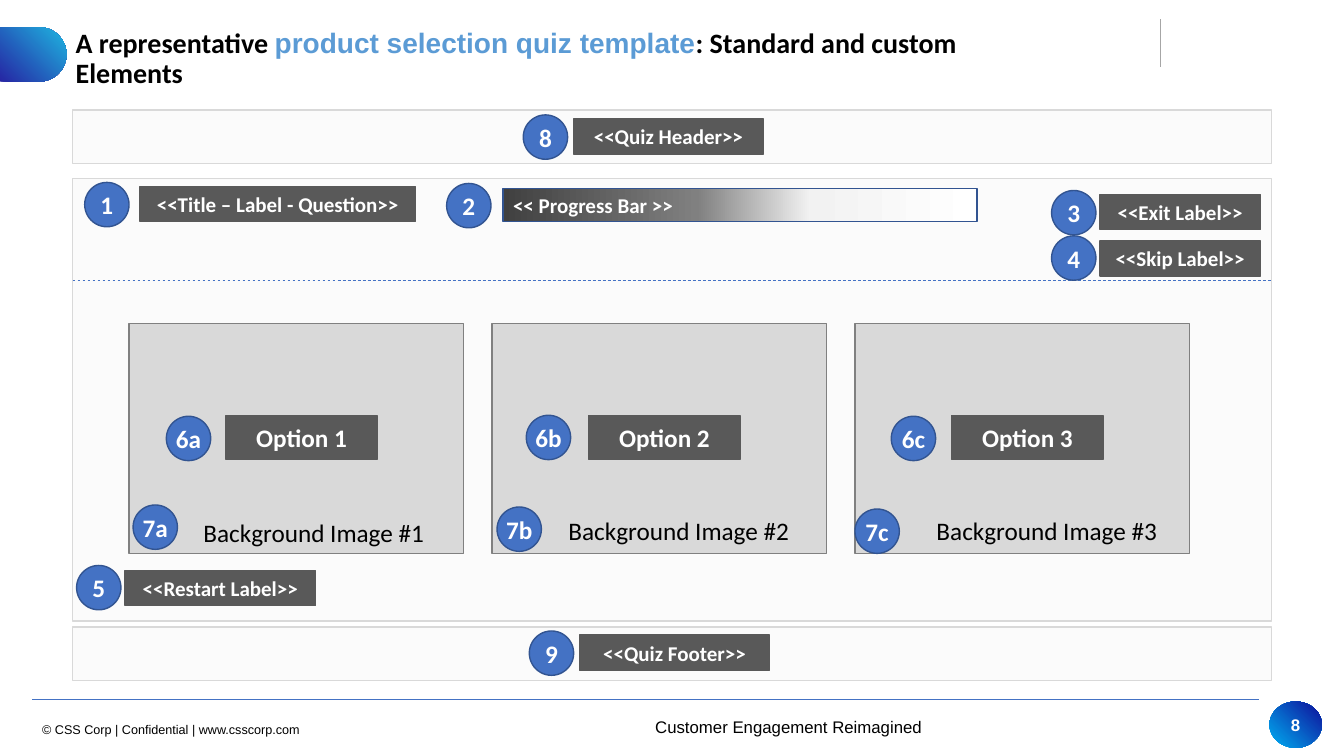
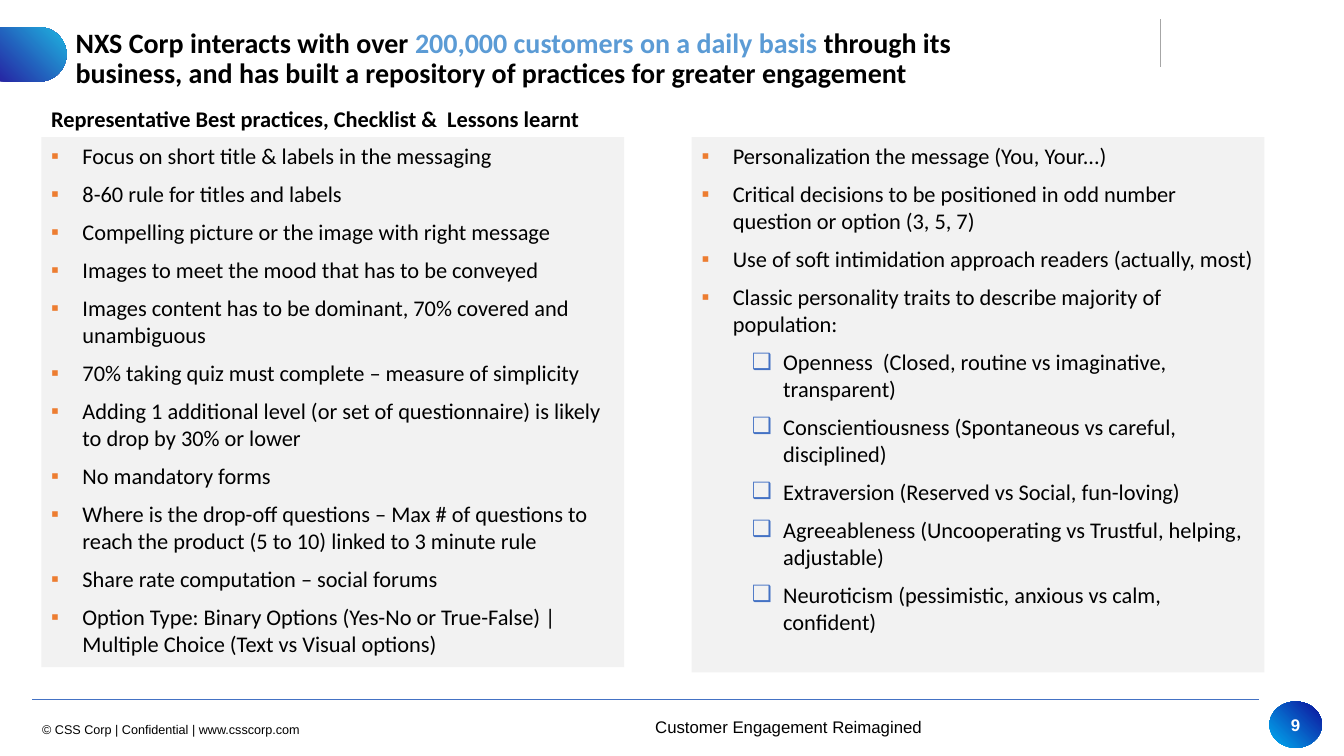
import math

import lxml.etree
import pptx
import pptx.dml.color
import pptx.enum.dml
import pptx.enum.shapes
import pptx.enum.text
import pptx.oxml
import pptx.oxml.ns
import pptx.util

Inches = pptx.util.Inches
Pt = pptx.util.Pt
RGBColor = pptx.dml.color.RGBColor
SHAPE = pptx.enum.shapes.MSO_SHAPE
STRAIGHT = pptx.enum.shapes.MSO_CONNECTOR.STRAIGHT
ALIGN = pptx.enum.text.PP_ALIGN
ANCHOR = pptx.enum.text.MSO_ANCHOR
qn = pptx.oxml.ns.qn

BLACK = RGBColor(0x00, 0x00, 0x00)
WHITE = RGBColor(0xFF, 0xFF, 0xFF)
PALE = RGBColor(0xF2, 0xF2, 0xF2)
SILVER = RGBColor(0xD9, 0xD9, 0xD9)
RULE_GREY = RGBColor(0xA6, 0xA6, 0xA6)
GREY = RGBColor(0x80, 0x80, 0x80)
LABEL_GREY = RGBColor(0x59, 0x59, 0x59)
CHARCOAL = RGBColor(0x40, 0x40, 0x40)
BLUE = RGBColor(0x44, 0x72, 0xC4)
BLUE_EDGE = RGBColor(0x32, 0x54, 0x91)
HIGHLIGHT = RGBColor(0x5B, 0x9B, 0xD5)
ORANGE = RGBColor(0xED, 0x7D, 0x31)
NAVY = RGBColor(0x0F, 0x0E, 0x9A)
CYAN = RGBColor(0x06, 0xAF, 0xDE)
SKY = RGBColor(0x00, 0xAF, 0xF2)

TITLE_FONT = {"name": "Calibri", "size": Pt(20), "bold": True}
BADGE_FONT = {"name": "Calibri", "size": Pt(18), "bold": True}
LABEL_FONT = {"name": "Calibri", "size": Pt(15), "bold": True}
CAPTION_FONT = {"name": "Calibri", "size": Pt(18)}
HEADING_FONT = {"name": "Calibri", "size": Pt(16), "bold": True}
BODY_FONT = {"name": "Calibri", "size": Pt(16)}
COPYRIGHT_FONT = {"name": "Arial", "size": Pt(9)}
TAGLINE_FONT = {"name": "Arial", "size": Pt(12)}
NUMBER_FONT = {"name": "Arial", "size": Pt(12), "bold": True}


def paint(shape, fill, line=None, opacity=100, angle=0):
    """Fill with a colour, or with a list of (percent, colour) gradient stops."""
    shape.shadow.inherit = False
    if isinstance(fill, list):
        shape.fill.gradient()
        shape.fill.gradient_angle = angle
        stops = shape._element.spPr.find(".//" + qn("a:gsLst"))
        for stop in list(stops):
            stops.remove(stop)
        for percent, color in fill:
            stop = lxml.etree.SubElement(stops, qn("a:gs"), pos=str(percent * 1000))
            lxml.etree.SubElement(stop, qn("a:srgbClr"), val=str(color))
    else:
        shape.fill.solid()
        shape.fill.fore_color.rgb = fill
    if opacity < 100:
        for color_element in shape._element.spPr.iter(qn("a:srgbClr")):
            lxml.etree.SubElement(color_element, qn("a:alpha"), val=str(opacity * 1000))
    if line is None:
        shape.line.fill.background()
    else:
        shape.line.color.rgb = line
        shape.line.width = Pt(1)


def write(shape, paragraphs, font_format, color, align=ALIGN.LEFT,
          anchor=ANCHOR.TOP, margin=None, wrap=True):
    """Write paragraphs, each a list of (text, font changes, colour) runs or a string."""
    frame = shape.text_frame
    frame.word_wrap = wrap
    frame.vertical_anchor = anchor
    if margin is not None:
        for side in ("left", "top", "right", "bottom"):
            setattr(frame, "margin_" + side, margin)
    for index, runs in enumerate(paragraphs):
        paragraph = frame.paragraphs[0] if index == 0 else frame.add_paragraph()
        paragraph.alignment = align
        if isinstance(runs, str):
            runs = [(runs, {}, color)]
        for text, changes, run_color in runs:
            run = paragraph.add_run()
            run.text = text
            run.font.color.rgb = run_color
            for key, value in {**font_format, **changes}.items():
                setattr(run.font, key, value)


presentation = pptx.Presentation()
presentation.slide_width = Inches(13.33)
presentation.slide_height = Inches(7.5)

# Shared frame: tab, rules, title and footer
titles = [
    (8, 8.75, [("A representative ", {}, BLACK),
               ("product selection quiz template", {"name": "Arial"}, HIGHLIGHT),
               (": Standard and custom Elements", {}, BLACK)]),
    (9, 9.4, [("NXS Corp interacts with over ", {}, BLACK),
              ("200,000 customers on a daily basis ", {}, HIGHLIGHT),
              ("through its business, and has built a repository of practices "
               "for greater engagement", {}, BLACK)]),
]
footer_texts = [
    (0.32, 7.11, 3, 0.25, "© CSS Corp | Confidential | www.csscorp.com", COPYRIGHT_FONT),
    (6.4, 7.06, 3, 0.3, "Customer Engagement Reimagined", TAGLINE_FONT),
]
frame_rules = [(11.51, 0.19, 11.51, 0.66, RULE_GREY, 0.25),
               (0.32, 6.94, 12.49, 6.94, BLUE, 0.5)]
TAB_RADIUS, TAB_CENTER_X, TAB_CENTER_Y = 0.27, 0.39, 0.54
tab_arc = [(Inches(TAB_CENTER_X + TAB_RADIUS * math.cos(math.radians(degrees))),
            Inches(TAB_CENTER_Y + TAB_RADIUS * math.sin(math.radians(degrees))))
           for degrees in range(-90, 91, 5)]

slides = []
for number, title_width, title_runs in titles:
    slide = presentation.slides.add_slide(presentation.slide_layouts[6])
    slides.append(slide)

    for x1, y1, x2, y2, color, width in frame_rules:
        rule = slide.shapes.add_connector(STRAIGHT, Inches(x1), Inches(y1), Inches(x2), Inches(y2))
        rule.line.color.rgb = color
        rule.line.width = Pt(width)
        lxml.etree.SubElement(rule._element.spPr, qn("a:effectLst"))

    builder = slide.shapes.build_freeform(0, Inches(TAB_CENTER_Y - TAB_RADIUS))
    builder.add_line_segments(tab_arc + [(0, Inches(TAB_CENTER_Y + TAB_RADIUS))], close=True)
    paint(builder.convert_to_shape(), [(0, NAVY), (100, CYAN)], opacity=90, angle=45)

    page_badge = slide.shapes.add_shape(
        SHAPE.OVAL, Inches(12.59), Inches(6.96), Inches(0.52), Inches(0.46))
    paint(page_badge, [(0, SKY), (100, NAVY)], angle=45)
    write(page_badge, [str(number)], NUMBER_FONT, WHITE, ALIGN.CENTER, ANCHOR.MIDDLE, 0, False)

    for left, top, width, height, text, font_format in footer_texts:
        box = slide.shapes.add_textbox(Inches(left), Inches(top), Inches(width), Inches(height))
        write(box, [text], font_format, BLACK, anchor=ANCHOR.MIDDLE)

    title = slide.shapes.add_textbox(Inches(0.75), Inches(0.29), Inches(title_width), Inches(0.61))
    write(title, [title_runs], TITLE_FONT, BLACK, margin=0)
    title.text_frame.paragraphs[0].line_spacing = 0.9

quiz_slide, practice_slide = slides

# Quiz template: header, body and footer panels
PANEL_LEFT, PANEL_WIDTH = 0.72, 11.89
for top, height in [(1.09, 0.53), (1.77, 4.39), (6.22, 0.53)]:
    panel = quiz_slide.shapes.add_shape(
        SHAPE.RECTANGLE, Inches(PANEL_LEFT), Inches(top), Inches(PANEL_WIDTH), Inches(height))
    paint(panel, PALE, SILVER, opacity=30)

divider = quiz_slide.shapes.add_connector(
    STRAIGHT, Inches(PANEL_LEFT), Inches(2.78), Inches(PANEL_LEFT + PANEL_WIDTH), Inches(2.78))
divider.line.color.rgb = BLUE
divider.line.width = Pt(0.5)
divider.line.dash_style = pptx.enum.dml.MSO_LINE.DASH
lxml.etree.SubElement(divider._element.spPr, qn("a:effectLst"))

progress_bar = quiz_slide.shapes.add_shape(
    SHAPE.RECTANGLE, Inches(4.99), Inches(1.87), Inches(4.7), Inches(0.33))
paint(progress_bar, [(0, CHARCOAL), (41, GREY), (65, PALE), (100, WHITE)], BLUE_EDGE)
write(progress_bar, ["<< Progress Bar >>"], LABEL_FONT, WHITE, anchor=ANCHOR.MIDDLE)

labels = [
    (1.39, 1.85, 2.73, 0.35, "<<Title – Label - Question>>", LABEL_FONT),
    (10.91, 1.93, 1.59, 0.35, "<<Exit Label>>", LABEL_FONT),
    (10.91, 2.39, 1.59, 0.35, "<<Skip Label>>", LABEL_FONT),
    (5.69, 1.18, 1.88, 0.35, "<<Quiz Header>>", LABEL_FONT),
    (5.75, 6.3, 1.88, 0.35, "<<Quiz Footer>>", LABEL_FONT),
    (1.24, 5.66, 1.89, 0.35, "<<Restart Label>>", LABEL_FONT),
]

# Option cards
CARD_LEFT, CARD_STEP = 1.28, 3.6
for index, (caption_left, caption_top) in enumerate([(1.92, 5.08), (5.54, 5.06), (9.19, 5.06)]):
    card_left = CARD_LEFT + index * CARD_STEP
    card = quiz_slide.shapes.add_shape(
        SHAPE.RECTANGLE, Inches(card_left), Inches(3.21), Inches(3.32), Inches(2.28))
    paint(card, SILVER, GREY)
    caption = quiz_slide.shapes.add_textbox(
        Inches(caption_left), Inches(caption_top), Inches(2.5), Inches(0.4))
    write(caption, [f"Background Image #{index + 1}"], CAPTION_FONT, BLACK)
    labels.append((card_left + 0.96, 4.12, 1.5, 0.44, f"Option {index + 1}", BADGE_FONT))

for left, top, width, height, text, font_format in labels:
    label = quiz_slide.shapes.add_shape(
        SHAPE.RECTANGLE, Inches(left), Inches(top), Inches(width), Inches(height))
    paint(label, LABEL_GREY, LABEL_GREY)
    write(label, [text], font_format, WHITE, ALIGN.CENTER, ANCHOR.MIDDLE, wrap=False)

# Numbered badges
badges = [
    ("1", 0.84, 1.81), ("2", 4.43, 1.82), ("3", 10.43, 1.89), ("4", 10.43, 2.34),
    ("5", 0.76, 5.61), ("6a", 1.65, 4.13), ("6b", 5.22, 4.12), ("6c", 8.84, 4.13),
    ("7a", 1.32, 5.01), ("7b", 4.93, 5.03), ("7c", 8.48, 5.05),
    ("8", 5.19, 1.14), ("9", 5.25, 6.26),
]
for text, left, top in badges:
    badge = quiz_slide.shapes.add_shape(
        SHAPE.OVAL, Inches(left), Inches(top), Inches(0.44), Inches(0.44))
    paint(badge, BLUE, BLUE_EDGE)
    write(badge, [text], BADGE_FONT, WHITE, ALIGN.CENTER, ANCHOR.MIDDLE, 0, False)

# Best practices: heading and two bulleted columns of (level, text)
heading = practice_slide.shapes.add_textbox(Inches(0.41), Inches(0.99), Inches(5.6), Inches(0.37))
write(heading, ["Representative Best practices, Checklist &  Lessons learnt"], HEADING_FONT, BLACK)

columns = [
    (0.41, 5.78, 5.26, [
        (0, "Focus on short title & labels in the messaging"),
        (0, "8-60 rule for titles and labels"),
        (0, "Compelling picture or the image with right message"),
        (0, "Images to meet the mood that has to be conveyed"),
        (0, "Images content has to be dominant, 70% covered and unambiguous"),
        (0, "70% taking quiz must complete – measure of simplicity"),
        (0, "Adding 1 additional level (or set of questionnaire) is likely to drop by 30% or lower"),
        (0, "No mandatory forms"),
        (0, "Where is the drop-off questions – Max # of questions to reach the product "
            "(5 to 10) linked to 3 minute rule"),
        (0, "Share rate computation – social forums"),
        (0, "Option Type: Binary Options (Yes-No or True-False) | "
            "Multiple Choice (Text vs Visual options)"),
    ]),
    (6.86, 5.68, 5.31, [
        (0, "Personalization the message (You, Your...)"),
        (0, "Critical decisions to be positioned in odd number question or option (3, 5, 7)"),
        (0, "Use of soft intimidation approach readers (actually, most)"),
        (0, "Classic personality traits to describe majority of population:"),
        (1, "Openness  (Closed, routine vs imaginative, transparent)"),
        (1, "Conscientiousness (Spontaneous vs careful, disciplined)"),
        (1, "Extraversion (Reserved vs Social, fun-loving)"),
        (1, "Agreeableness (Uncooperating vs Trustful, helping, adjustable)"),
        (1, "Neuroticism (pessimistic, anxious vs calm, confident)"),
    ]),
]
bullet_styles = [("▪", ORANGE, 0.31), ("❑", BLUE, 0.81)]
for left, width, height, items in columns:
    column = practice_slide.shapes.add_shape(
        SHAPE.RECTANGLE, Inches(left), Inches(1.36), Inches(width), Inches(height))
    paint(column, PALE)
    write(column, [text for level, text in items], BODY_FONT, BLACK)
    for index, (level, text) in enumerate(items):
        character, color, indent = bullet_styles[level]
        paragraph = column.text_frame.paragraphs[index]
        paragraph.level = level
        paragraph.space_before = Pt(8 if index else 0)
        properties = paragraph._p.get_or_add_pPr()
        properties.set("marL", str(Inches(indent)))
        properties.set("indent", str(-Inches(0.31)))
        bullet_color = lxml.etree.SubElement(properties, qn("a:buClr"))
        lxml.etree.SubElement(bullet_color, qn("a:srgbClr"), val=str(color))
        lxml.etree.SubElement(properties, qn("a:buFont"), typeface="Arial")
        lxml.etree.SubElement(properties, qn("a:buChar"), char=character)

presentation.save("out.pptx")
